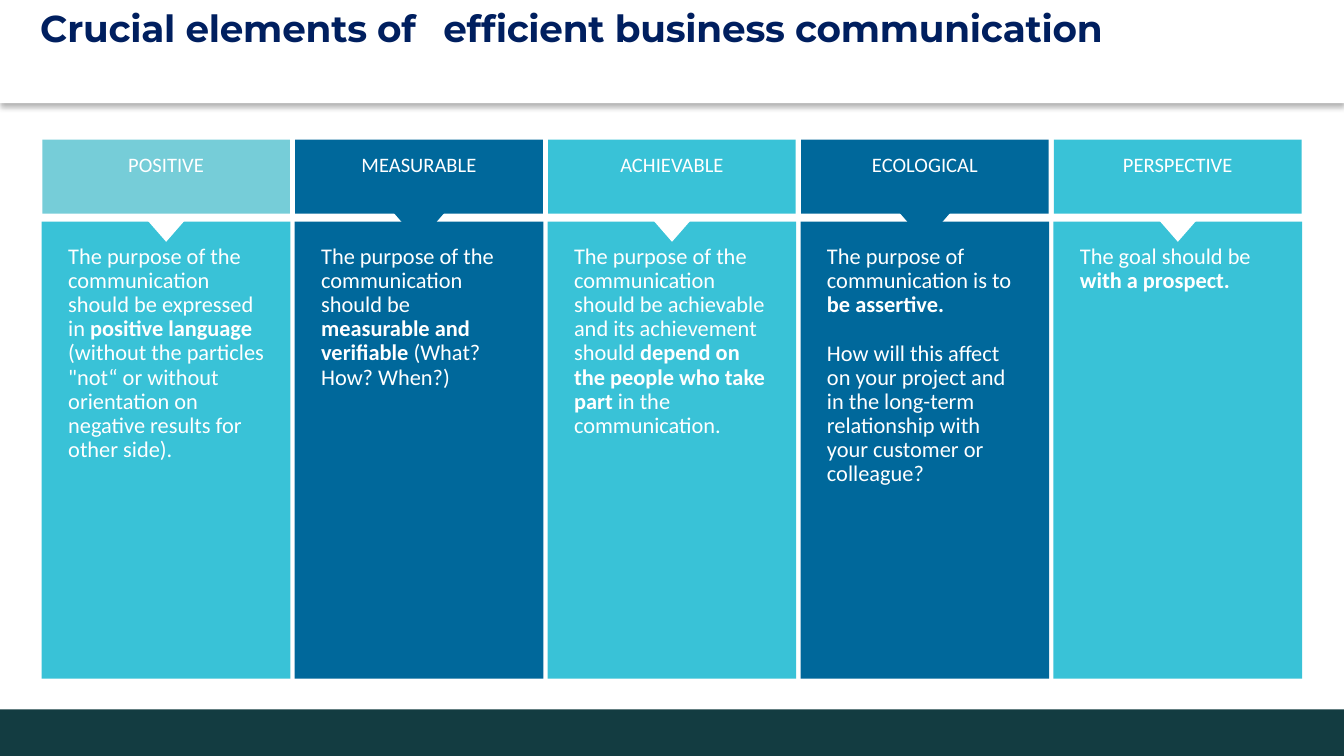
"""Build a five-column slide on efficient business communication."""
from dataclasses import dataclass

from lxml import etree
from pptx import Presentation
from pptx.dml.color import RGBColor
from pptx.enum.shapes import MSO_SHAPE
from pptx.enum.text import MSO_ANCHOR, PP_ALIGN
from pptx.oxml.ns import qn
from pptx.util import Cm, Pt

RECT = MSO_SHAPE.RECTANGLE
WEDGE = MSO_SHAPE.ISOSCELES_TRIANGLE
TOP = MSO_ANCHOR.TOP
LEFT = PP_ALIGN.LEFT
MID = PP_ALIGN.CENTER


@dataclass(frozen=True)
class Theme:
    white: str = "FFFFFF"
    navy: str = "001F5F"
    aqua: str = "39C2D7"
    pale: str = "76CDD8"
    blue: str = "00689B"
    dark: str = "133C41"
    shade: str = "000000"
    font: str = "Calibri"
    head: str = "Montserrat"
    title: float = 20
    label: float = 11
    body: float = 12


@dataclass(frozen=True)
class Run:
    text: str
    bold: bool = False


@dataclass(frozen=True)
class Column:
    label: str
    tab: str
    card: str
    wedge: str
    high: float
    paras: tuple[tuple[Run, ...], ...]


THEME = Theme()
COLUMNS = (
    Column("POSITIVE", THEME.pale, THEME.aqua, THEME.white, 4.42, ((
        Run("The purpose of the communication should be expressed in "),
        Run("positive language ", True),
        Run("(without the particles \"not“ or without orientation on "
            "negative results for other side).")),)),
    Column("MEASURABLE", THEME.blue, THEME.blue, THEME.blue, 3.02, ((
        Run("The purpose of the communication should be "),
        Run("measurable and verifiable ", True),
        Run("(What? How? When?)")),)),
    Column("ACHIEVABLE", THEME.aqua, THEME.aqua, THEME.white, 3.96, ((
        Run("The purpose of the communication should be achievable "
            "and its achievement should "),
        Run("depend on the people who take part", True),
        Run(" in the communication.")),)),
    Column("ECOLOGICAL", THEME.blue, THEME.blue, THEME.blue, 4.88, (
        (Run("The purpose of communication is to "),
         Run("be assertive.", True)),
        (Run("How will this affect on your project and in the long-term "
             "relationship with your customer or colleague?"),))),
    Column("PERSPECTIVE", THEME.aqua, THEME.aqua, THEME.white, 1.65, ((
        Run("The goal should be "),
        Run("with a prospect.", True)),)),
)


def add_block(shapes, kind, box: tuple[float, ...], fill: str):
    """Add a filled preset shape without line or shadow."""
    block = shapes.add_shape(kind, *map(Cm, box))
    block.shadow.inherit = False
    block.fill.solid()
    block.fill.fore_color.rgb = RGBColor.from_string(fill)
    block.line.fill.background()
    return block


def set_frame(frame, pad: tuple[float, ...]) -> None:
    """Wrap a text frame, anchor it at the top and set its insets."""
    frame.word_wrap = True
    frame.vertical_anchor = TOP
    (frame.margin_left, frame.margin_top,
     frame.margin_right, frame.margin_bottom) = map(Cm, pad)


def add_run(para, run: Run, size: float, font: str, color: str):
    """Append a styled run to a paragraph."""
    part = para.add_run()
    part.text = run.text
    part.font.size = Pt(size)
    part.font.name = font
    part.font.bold = run.bold
    part.font.color.rgb = RGBColor.from_string(color)
    return part


def add_title(shapes) -> None:
    """Add the white title band with its soft shadow."""
    band = add_block(shapes, RECT, (0, 0, 25.4, 1.95), THEME.white)
    glow = band._element.spPr.find(qn("a:effectLst"))
    cast = etree.SubElement(glow, qn("a:outerShdw"), blurRad=str(Pt(3.1)),
                            dist=str(Pt(2)), dir="5400000", rotWithShape="0")
    tint = etree.SubElement(cast, qn("a:srgbClr"), val=THEME.shade)
    etree.SubElement(tint, qn("a:alpha"), val="30000")
    set_frame(band.text_frame, (0.76, 0.38, 0.18, 0.1))
    para = band.text_frame.paragraphs[0]
    para.alignment = LEFT
    para.line_spacing = Pt(16)
    tabs = etree.SubElement(para._p.get_or_add_pPr(), qn("a:tabLst"))
    etree.SubElement(tabs, qn("a:tab"), pos=str(Cm(7.62)), algn="l")
    for text in ("Crucial elements of\t", "efficient business communication"):
        part = add_run(para, Run(text, True), THEME.title, THEME.head, THEME.navy)
        part.font._element.set("spc", "-15")


def add_column(slide, col: Column, left: float) -> None:
    """Add one grouped column: card, body text, wedge and label."""
    shapes = slide.shapes.add_group_shape().shapes
    add_block(shapes, RECT, (left, 4.19, 4.7, 8.64), col.card)
    body = shapes.add_textbox(*map(Cm, (left + 0.25, 4.5, 4.24, col.high)))
    set_frame(body.text_frame, (0.25, 0.13, 0.25, 0.13))
    for i, runs in enumerate(col.paras):
        para = body.text_frame.add_paragraph() if i else body.text_frame.paragraphs[0]
        para.line_spacing = 0.9
        para.space_before = Pt(13 if i else 0)
        for run in runs:
            add_run(para, run, THEME.body, THEME.font, THEME.white)
    wedge = add_block(shapes, WEDGE, (left + 1.73, 3.86, 1.24, 0.71), col.wedge)
    wedge.rotation = 180
    tab = add_block(shapes, RECT, (left + 0.01, 2.64, 4.68, 1.4), col.tab)
    set_frame(tab.text_frame, (0.25, 0.23, 0.25, 0.23))
    para = tab.text_frame.paragraphs[0]
    para.alignment = MID
    add_run(para, Run(col.label), THEME.label, THEME.font, THEME.white)


def main() -> None:
    """Build and save the slide."""
    deck = Presentation()
    deck.slide_width, deck.slide_height = Cm(25.4), Cm(14.29)
    slide = deck.slides.add_slide(deck.slide_layouts[6])
    add_block(slide.shapes, RECT, (0, 13.41, 25.4, 0.88), THEME.dark)
    add_title(slide.shapes)
    for i, col in enumerate(COLUMNS):
        add_column(slide, col, 0.79 + 4.78 * i)
    deck.save("out.pptx")


if __name__ == "__main__":
    main()
